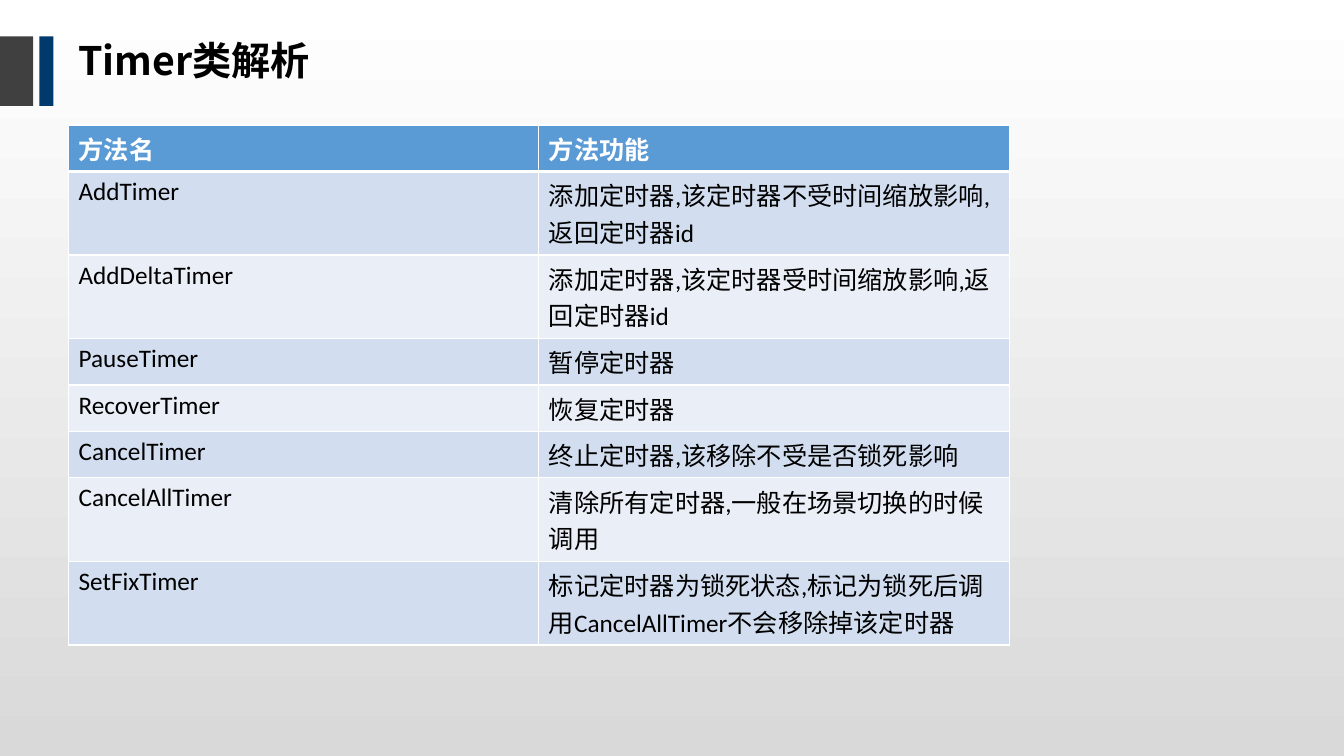
"""Build the slide that lists the Timer class methods."""
from lxml.etree import SubElement
from pptx import Presentation
from pptx.dml.color import RGBColor
from pptx.enum.shapes import MSO_SHAPE as Shape
from pptx.enum.text import MSO_ANCHOR as Anchor
from pptx.oxml import parse_xml
from pptx.oxml.ns import nsdecls, qn
from pptx.util import Inches, Pt

COLORS = {
    "white": "FFFFFF", "black": "000000", "shade": "D9D9D9",
    "gray": "404040", "navy": "003A6C", "header": "5B9BD5",
    "odd": "D2DEEF", "even": "EAEFF7",
}
ONE_LINE, TWO_LINES = 0.46, 0.83
METHODS = [
    (ONE_LINE, "方法名", "方法功能"),
    (TWO_LINES, "AddTimer", "添加定时器,该定时器不受时间缩放影响,返回定时器id"),
    (TWO_LINES, "AddDeltaTimer", "添加定时器,该定时器受时间缩放影响,返回定时器id"),
    (ONE_LINE, "PauseTimer", "暂停定时器"),
    (ONE_LINE, "RecoverTimer", "恢复定时器"),
    (ONE_LINE, "CancelTimer", "终止定时器,该移除不受是否锁死影响"),
    (TWO_LINES, "CancelAllTimer", "清除所有定时器,一般在场景切换的时候调用"),
    (TWO_LINES, "SetFixTimer",
     "标记定时器为锁死状态,标记为锁死后调用CancelAllTimer不会移除掉该定时器"),
]


class SlideBuilder:
    """Hold the style and the current slide."""

    body_font = "Calibri"
    asian_font = "Noto Sans CJK SC"

    def __init__(self, slide):
        self.slide = slide

    def color(self, name):
        return RGBColor.from_string(COLORS[name])

    def style(self, para, font, size, color, bold):
        for span in para.runs:
            span.font.name = font
            span.font.size = Pt(size)
            span.font.bold = bold
            span.font.color.rgb = self.color(color)
            asian = SubElement(span.font._element, qn("a:ea"))
            asian.set("typeface", self.asian_font)

    def rect(self, left, top, width, height, *colors):
        shape = self.slide.shapes.add_shape(
            Shape.RECTANGLE, Inches(left), Inches(top), Inches(width), Inches(height))
        shape.shadow.inherit = False
        shape.line.fill.background()
        if len(colors) == 1:
            shape.fill.solid()
            shape.fill.fore_color.rgb = self.color(colors[0])
            return
        shape.fill.gradient()
        shape.fill.gradient_angle = 270
        for stop, name in zip(shape.fill.gradient_stops, colors):
            stop.color.rgb = self.color(name)

    def title(self, text, left, top, width, height):
        box = self.slide.shapes.add_textbox(
            Inches(left), Inches(top), Inches(width), Inches(height))
        frame = box.text_frame
        frame.word_wrap = True
        frame.vertical_anchor = Anchor.MIDDLE
        frame.text = text
        para = frame.paragraphs[0]
        para.line_spacing = 0.9
        self.style(para, self.asian_font, 28, "black", True)

    def borders(self, cell, top, bottom):
        properties = cell._tc.get_or_add_tcPr()
        sides = {"lnL": 1, "lnR": 1, "lnT": top, "lnB": bottom}
        for index, (side, points) in enumerate(sides.items()):
            properties.insert(index, parse_xml(
                f'<a:{side} {nsdecls("a")} w="{Pt(points)}"><a:solidFill>'
                f'<a:srgbClr val="{COLORS["white"]}"/></a:solidFill></a:{side}>'))

    def table(self, rows, left, top, width):
        total = sum(height for height, *_ in rows)
        table = self.slide.shapes.add_table(
            len(rows), len(rows[0]) - 1, Inches(left), Inches(top),
            Inches(width), Inches(total)).table
        for row, (height, *texts) in enumerate(rows):
            table.rows[row].height = Inches(height)
            header = row == 0
            fill = "header" if header else "odd" if row % 2 else "even"
            for column, text in enumerate(texts):
                cell = table.cell(row, column)
                cell.text = text
                cell.fill.solid()
                cell.fill.fore_color.rgb = self.color(fill)
                self.borders(cell, 3 if row == 1 else 1, 3 if header else 1)
                self.style(cell.text_frame.paragraphs[0], self.body_font, 18,
                           "white" if header else "black", header)


def main():
    deck = Presentation()
    deck.slide_width, deck.slide_height = Inches(13.33), Inches(7.5)
    page = SlideBuilder(deck.slides.add_slide(deck.slide_layouts[6]))
    page.rect(-0.26, 0, 13.59, 7.5, "white", "shade")
    page.rect(0, 0.36, 0.33, 0.69, "gray")
    page.rect(0.39, 0.36, 0.14, 0.69, "navy")
    page.title("Timer类解析", 0.68, 0.39, 8.62, 0.47)
    page.table(METHODS, 0.68, 1.24, 9.33)
    deck.save("out.pptx")


if __name__ == "__main__":
    main()
